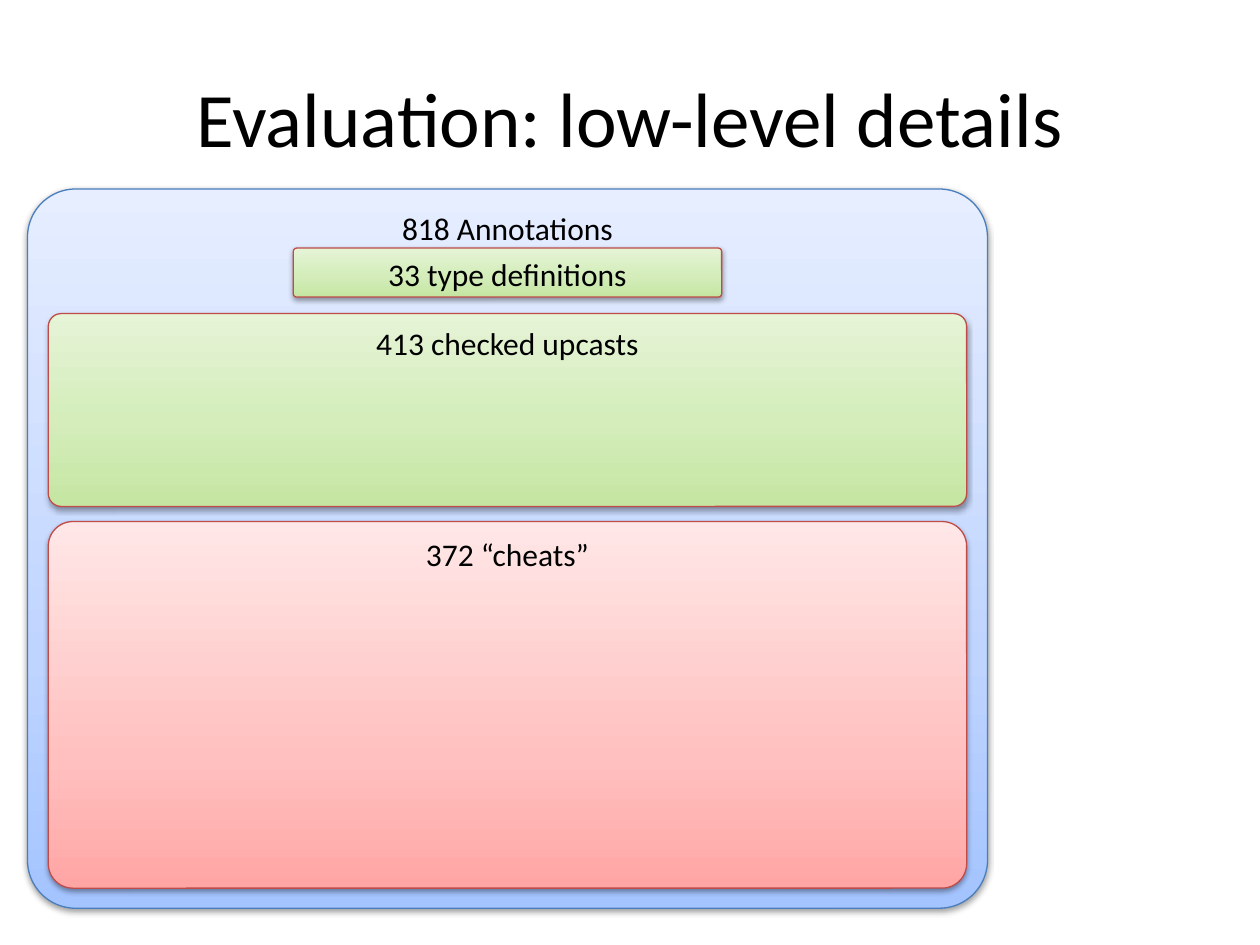
from pptx import Presentation
from pptx.dml.color import RGBColor
from pptx.enum.shapes import MSO_SHAPE as Preset
from pptx.enum.text import MSO_ANCHOR as Anchor, PP_ALIGN as Align
from pptx.oxml import parse_xml
from pptx.oxml.ns import nsdecls, qn
from pptx.util import Pt

FONT = "Calibri"
PANEL_CENTER = 290
BLUE = [(0, "A4C4FF"), (35, "BFD4FF"), (100, "E6EEFF")]
GREEN = [(0, "C5E6A2"), (45, "D4EDBB"), (100, "E6F4D7")]
RED = [(0, "FFA6A5"), (35, "FFC0BF"), (100, "FFE7E7")]
BLUE_LINE = "4B7EBC"
RED_LINE = "BF4C48"

PANELS = [
    ("818 Annotations", 108, 548.6, 411, BLUE, BLUE_LINE),
    ("33 type definitions", 141.8, 244.8, 28, GREEN, RED_LINE),
    ("413 checked upcasts", 179.2, 524.8, 110.2, GREEN, RED_LINE),
    ("372 “cheats”", 298, 524.8, 209.5, RED, RED_LINE),
]


def color(value):
    return RGBColor.from_string(value)


def write_text(shape, text, size, anchor):
    frame = shape.text_frame
    frame.word_wrap = True
    frame.vertical_anchor = anchor
    paragraph = frame.paragraphs[0]
    paragraph.text = text
    paragraph.alignment = Align.CENTER
    paragraph.font.name = FONT
    paragraph.font.size = Pt(size)
    paragraph.font.color.rgb = color("000000")


def fill_upward(shape, stops):
    stop_xml = "".join(
        f'<a:gs pos="{position * 1000}"><a:srgbClr val="{value}"/></a:gs>'
        for position, value in stops
    )
    gradient = parse_xml(
        f'<a:gradFill {nsdecls("a")} rotWithShape="1"><a:gsLst>{stop_xml}</a:gsLst>'
        '<a:lin ang="16200000" scaled="0"/></a:gradFill>'
    )
    shape.element.spPr.find(qn("a:prstGeom")).addnext(gradient)


def add_shadow(shape):
    shape.shadow.inherit = False
    shadow = parse_xml(
        f'<a:outerShdw {nsdecls("a")} blurRad="{Pt(3.1)}" dist="{Pt(1.6)}" '
        'dir="5400000" rotWithShape="0"><a:srgbClr val="000000">'
        '<a:alpha val="38000"/></a:srgbClr></a:outerShdw>'
    )
    shape.element.spPr.find(qn("a:effectLst")).append(shadow)


def add_panel(slide, text, top, width, height, stops, line_color):
    left = PANEL_CENTER - width / 2
    shape = slide.shapes.add_shape(
        Preset.ROUNDED_RECTANGLE, Pt(left), Pt(top), Pt(width), Pt(height)
    )
    shape.adjustments[0] = 0.067
    fill_upward(shape, stops)
    shape.line.color.rgb = color(line_color)
    shape.line.width = Pt(0.75)
    add_shadow(shape)
    write_text(shape, text, 18, Anchor.TOP)


def add_title(slide, text):
    box = slide.shapes.add_textbox(Pt(36), Pt(21.6), Pt(648), Pt(90))
    write_text(box, text, 44, Anchor.MIDDLE)


def main():
    presentation = Presentation()
    presentation.slide_width = Pt(720)
    presentation.slide_height = Pt(540)
    slide = presentation.slides.add_slide(presentation.slide_layouts[6])
    outer, *inner = PANELS
    add_panel(slide, *outer)
    add_title(slide, "Evaluation: low-level details")
    for panel in inner:
        add_panel(slide, *panel)
    presentation.save("out.pptx")


if __name__ == "__main__":
    main()
